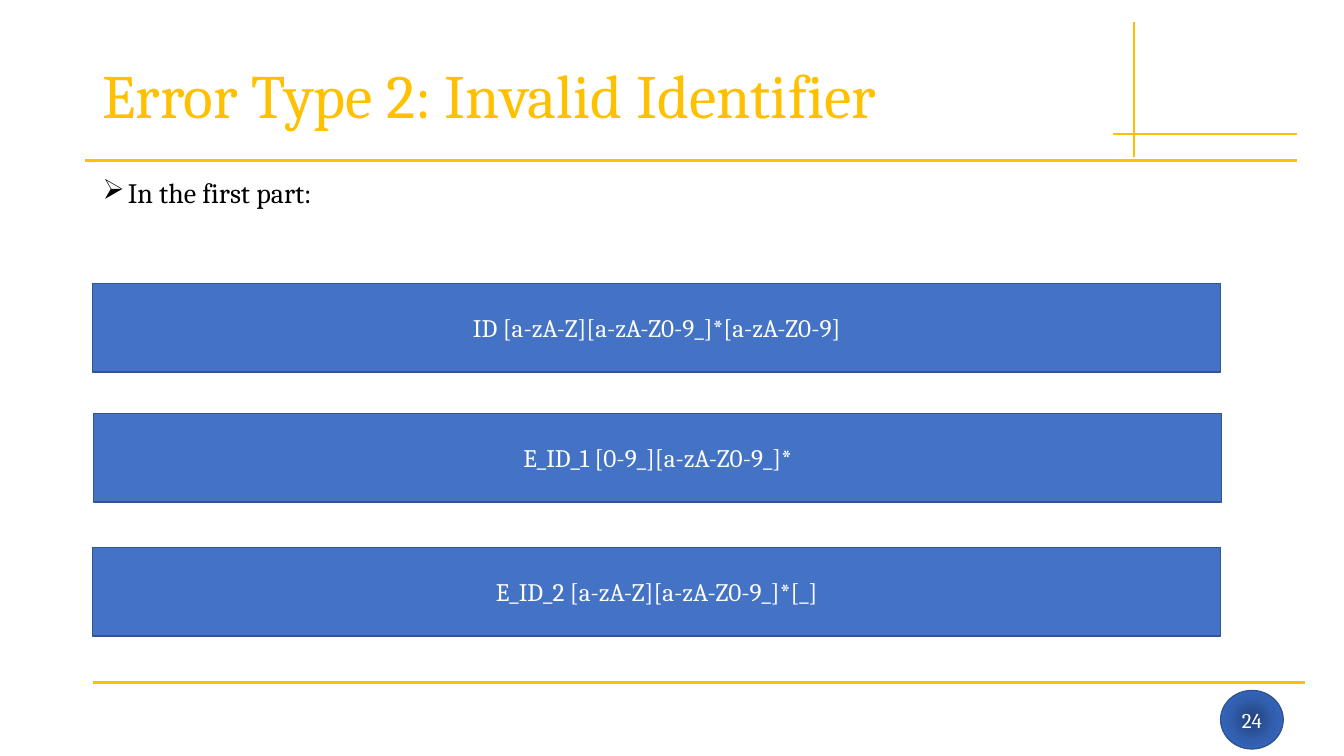
from dataclasses import dataclass

from lxml import etree
from pptx import Presentation
from pptx.dml.color import RGBColor
from pptx.enum.shapes import MSO_CONNECTOR as Connector, MSO_SHAPE as Shape
from pptx.enum.text import MSO_ANCHOR as Anchor, PP_ALIGN as Align
from pptx.oxml import parse_xml
from pptx.oxml.ns import nsdecls, qn
from pptx.util import Pt


@dataclass(frozen=True)
class Theme:
    font: str = "Cambria"
    gold: str = "FFC000"
    blue: str = "4472C4"
    outline: str = "325491"
    white: str = "FFFFFF"
    black: str = "000000"
    badge_stops: tuple = ((0, "23427A"), (50, "315EAD"), (100, "3A6FCE"))
    title_size: float = 44
    body_size: float = 20
    bar_size: float = 18
    badge_size: float = 15
    thin: float = 1.5
    thick: float = 2.25


THEME = Theme()

# Decorative lines: start x, start y, end x, end y, width
RULES = [
    (810, 15.84, 810, 112.32, THEME.thin),
    (926.64, 95.76, 794.88, 95.76, THEME.thin),
    (60.48, 114.48, 926.64, 114.48, THEME.thick),
    (66.24, 487.44, 932.4, 487.44, THEME.thick),
]

# Token patterns: left, top, text
BAR_SIZE = (805.68, 63.36)
BARS = [
    (66.24, 202.32, "ID [a-zA-Z][a-zA-Z0-9_]*[a-zA-Z0-9]"),
    (66.96, 295.2, "E_ID_1 [0-9_][a-zA-Z0-9_]*"),
    (66.24, 390.96, "E_ID_2 [a-zA-Z][a-zA-Z0-9_]*[_]"),
]


def apply_format(target, values):
    for name, value in values.items():
        setattr(target, name, value)


def write_text(shape, text, size, color, anchor, **paragraph_format):
    apply_format(shape.text_frame, {"word_wrap": True, "vertical_anchor": anchor})
    paragraph = shape.text_frame.paragraphs[0]
    apply_format(paragraph, paragraph_format)
    run = paragraph.add_run()
    apply_format(run, {"text": text})
    apply_format(run.font, {"name": THEME.font, "size": Pt(size)})
    run.font.color.rgb = RGBColor.from_string(color)
    return paragraph


def add_text(slide, box, *text_values, **paragraph_format):
    shape = slide.shapes.add_textbox(*map(Pt, box))
    return write_text(shape, *text_values, **paragraph_format)


def add_bullet(paragraph, character, indent):
    properties = paragraph._p.get_or_add_pPr()
    properties.set("marL", str(Pt(indent)))
    properties.set("indent", str(-Pt(indent)))
    etree.SubElement(properties, qn("a:buChar"), char=character)


def add_rule(slide, start_x, start_y, end_x, end_y, width):
    points = map(Pt, (start_x, start_y, end_x, end_y))
    rule = slide.shapes.add_connector(Connector.STRAIGHT, *points)
    rule.line.color.rgb = RGBColor.from_string(THEME.gold)
    rule.line.width = Pt(width)
    etree.SubElement(rule._element.spPr, qn("a:effectLst"))


def add_panel(slide, kind, box, text, size):
    shape = slide.shapes.add_shape(kind, *map(Pt, box))
    shape.shadow.inherit = False
    shape.line.color.rgb = RGBColor.from_string(THEME.outline)
    shape.line.width = Pt(1)
    write_text(shape, text, size, THEME.white, Anchor.MIDDLE, alignment=Align.CENTER)
    return shape


def add_bar(slide, left, top, text):
    bar = add_panel(slide, Shape.RECTANGLE, (left, top, *BAR_SIZE), text, THEME.bar_size)
    bar.fill.solid()
    bar.fill.fore_color.rgb = RGBColor.from_string(THEME.blue)


def add_badge(slide, box, text):
    badge = add_panel(slide, Shape.OVAL, box, text, THEME.badge_size)
    apply_format(badge.text_frame, dict.fromkeys(("margin_left", "margin_right"), Pt(0)))
    stops = "".join(
        f'<a:gs pos="{position * 1000}"><a:srgbClr val="{color}"/></a:gs>'
        for position, color in THEME.badge_stops
    )
    gradient = parse_xml(
        f'<a:gradFill {nsdecls("a")} rotWithShape="1"><a:gsLst>{stops}</a:gsLst>'
        '<a:path path="circle"><a:fillToRect l="50000" t="50000" r="50000" b="50000"/>'
        "</a:path></a:gradFill>"
    )
    badge._element.spPr.find(qn("a:prstGeom")).addnext(gradient)


def main():
    presentation = Presentation()
    apply_format(presentation, {"slide_width": Pt(960), "slide_height": Pt(540)})
    slide = presentation.slides.add_slide(presentation.slide_layouts[6])

    # Heading
    add_text(slide, (66.24, 28.8, 720, 83.52), "Error Type 2: Invalid Identifier",
             THEME.title_size, THEME.gold, Anchor.MIDDLE, line_spacing=0.9)

    # Frame lines and page number
    for rule in RULES:
        add_rule(slide, *rule)
    add_badge(slide, (871.92, 493.2, 44.64, 41.76), "24")

    # Introduction
    introduction = add_text(slide, (66.24, 124.56, 828, 352.8), "In the first part:",
                            THEME.body_size, THEME.black, Anchor.TOP,
                            alignment=Align.JUSTIFY, line_spacing=0.9,
                            space_before=Pt(10))
    add_bullet(introduction, "➢", 18)

    # Token patterns
    for bar in BARS:
        add_bar(slide, *bar)

    presentation.save("out.pptx")


if __name__ == "__main__":
    main()
